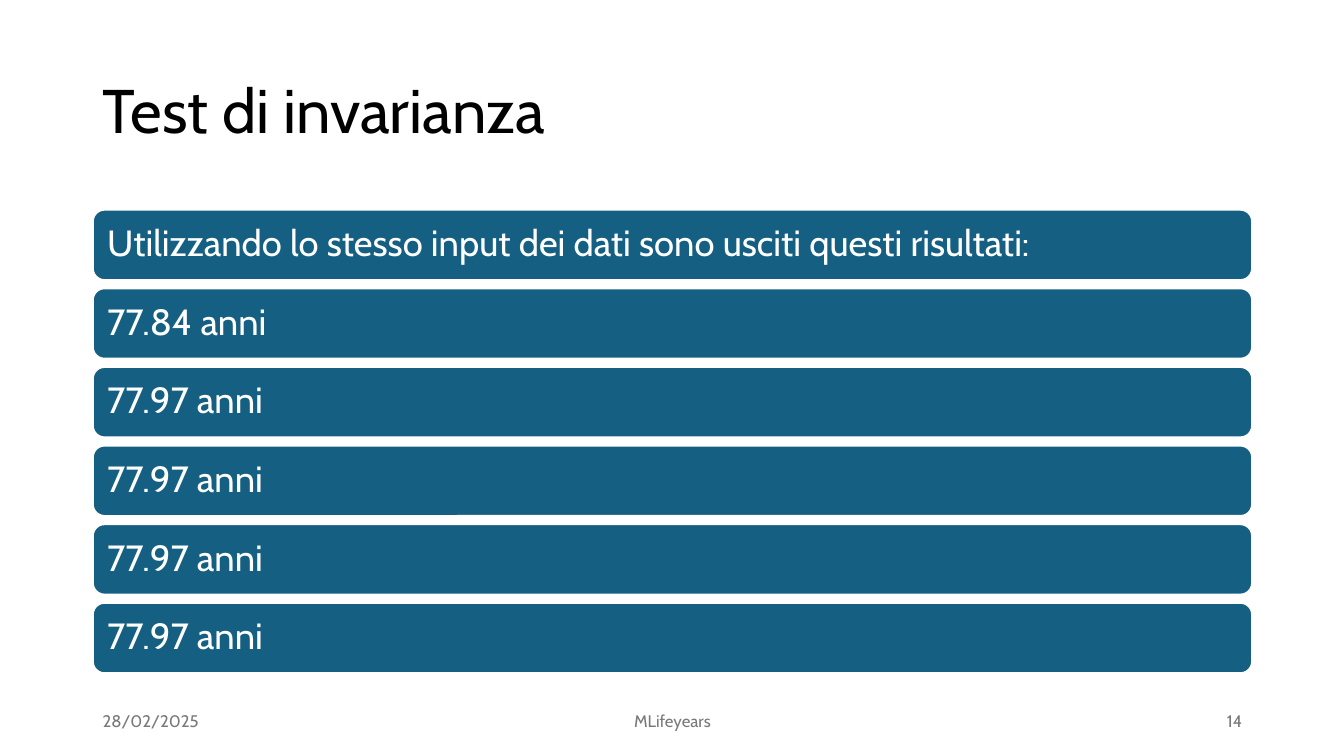
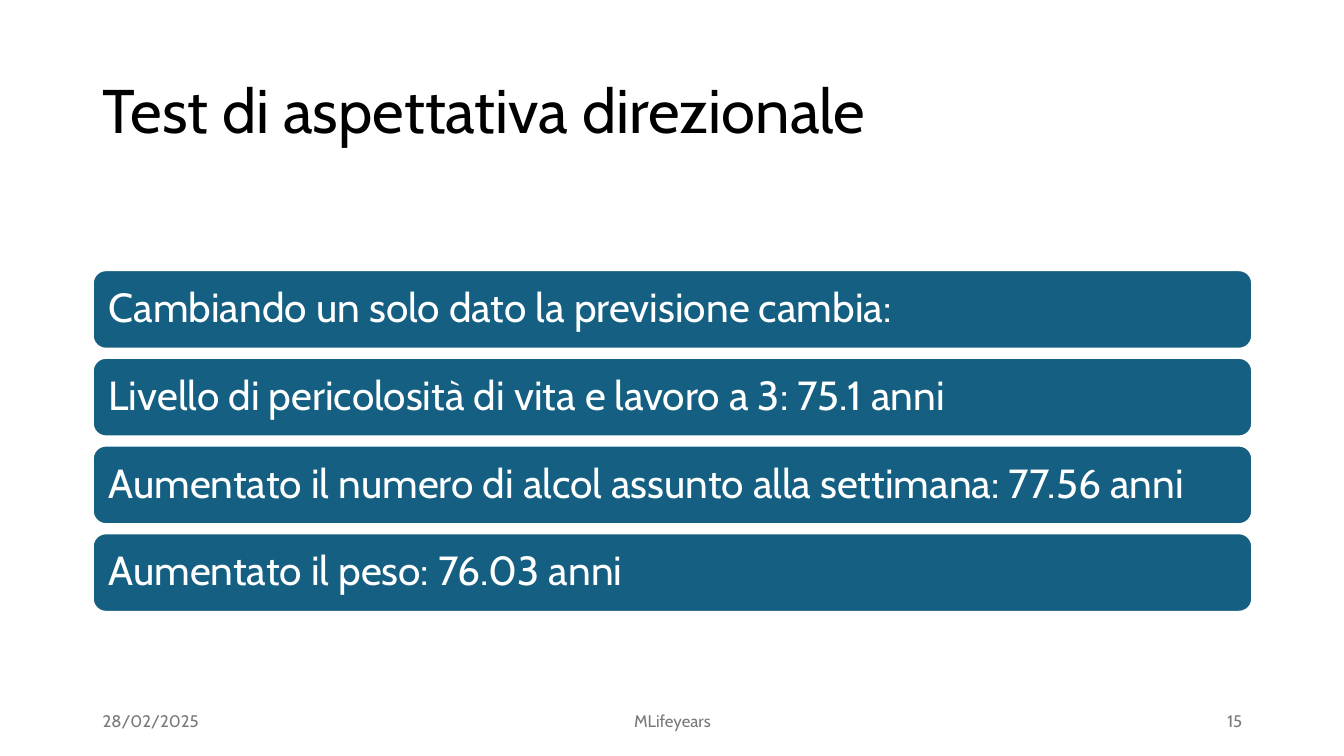
from dataclasses import dataclass

from pptx import Presentation
from pptx.dml.color import RGBColor
from pptx.enum.shapes import MSO_SHAPE as Shape
from pptx.enum.text import MSO_ANCHOR as Anchor, PP_ALIGN as Align
from pptx.util import Inches, Pt


@dataclass(frozen=True)
class Theme:
    font: str = "Cabin"
    title_color: RGBColor = RGBColor(0x00, 0x00, 0x00)
    bar_color: RGBColor = RGBColor(0x15, 0x60, 0x82)
    light_color: RGBColor = RGBColor(0xFF, 0xFF, 0xFF)
    footer_color: RGBColor = RGBColor(0x79, 0x79, 0x79)
    title_size: int = 44
    footer_size: int = 12


theme = Theme()
LEFT, WIDTH = 0.92, 11.5


def write_text(shape, text, size, color, align=Align.LEFT, line_spacing=1.0):
    frame = shape.text_frame
    frame.text = text
    frame.word_wrap = True
    frame.vertical_anchor = Anchor.MIDDLE
    paragraph = frame.paragraphs[0]
    paragraph.alignment = align
    paragraph.line_spacing = line_spacing
    font = paragraph.runs[0].font
    font.name = theme.font
    font.size = Pt(size)
    font.color.rgb = color


def add_text(slide, left, top, width, height, *style):
    box = slide.shapes.add_textbox(
        Inches(left), Inches(top), Inches(width), Inches(height)
    )
    write_text(box, *style)


slides = [
    {
        "title": "Test di invarianza",
        "number": "14",
        "top": 2.08,
        "height": 0.7,
        "pitch": 0.78,
        "size": 26,
        "inset": 0.11,
        "bars": [
            "Utilizzando lo stesso input dei dati sono usciti questi risultati:",
            "77.84 anni",
            *["77.97 anni"] * 4,
        ],
    },
    {
        "title": "Test di aspettativa direzionale",
        "number": "15",
        "top": 2.68,
        "height": 0.78,
        "pitch": 0.87,
        "size": 29,
        "inset": 0.12,
        "bars": [
            "Cambiando un solo dato la previsione cambia:",
            "Livello di pericolosità di vita e lavoro a 3: 75.1 anni",
            "Aumentato il numero di alcol assunto alla settimana: 77.56 anni",
            "Aumentato il peso: 76.03 anni",
        ],
    },
]

presentation = Presentation()
presentation.slide_width = Inches(13.33)
presentation.slide_height = Inches(7.5)
blank_layout = presentation.slide_layouts[6]

for content in slides:
    slide = presentation.slides.add_slide(blank_layout)
    add_text(slide, LEFT, 0.4, WIDTH, 1.45, content["title"],
             theme.title_size, theme.title_color, Align.LEFT, 0.9)

    for index, text in enumerate(content["bars"]):
        bar = slide.shapes.add_shape(
            Shape.ROUNDED_RECTANGLE,
            Inches(LEFT),
            Inches(content["top"] + index * content["pitch"]),
            Inches(WIDTH),
            Inches(content["height"]),
        )
        bar.shadow.inherit = False
        bar.fill.solid()
        bar.fill.fore_color.rgb = theme.bar_color
        bar.line.color.rgb = theme.light_color
        bar.line.width = Pt(1.5)
        frame = bar.text_frame
        frame.margin_left = frame.margin_right = Inches(content["inset"])
        frame.margin_top = frame.margin_bottom = Inches(content["inset"])
        write_text(bar, text, content["size"], theme.light_color, Align.LEFT, 0.9)

    footers = [
        (LEFT, 3, "28/02/2025", Align.LEFT),
        (4.42, 4.5, "MLifeyears", Align.CENTER),
        (9.42, 3, content["number"], Align.RIGHT),
    ]
    for left, width, text, align in footers:
        add_text(slide, left, 6.95, width, 0.4, text,
                 theme.footer_size, theme.footer_color, align)

presentation.save("out.pptx")
